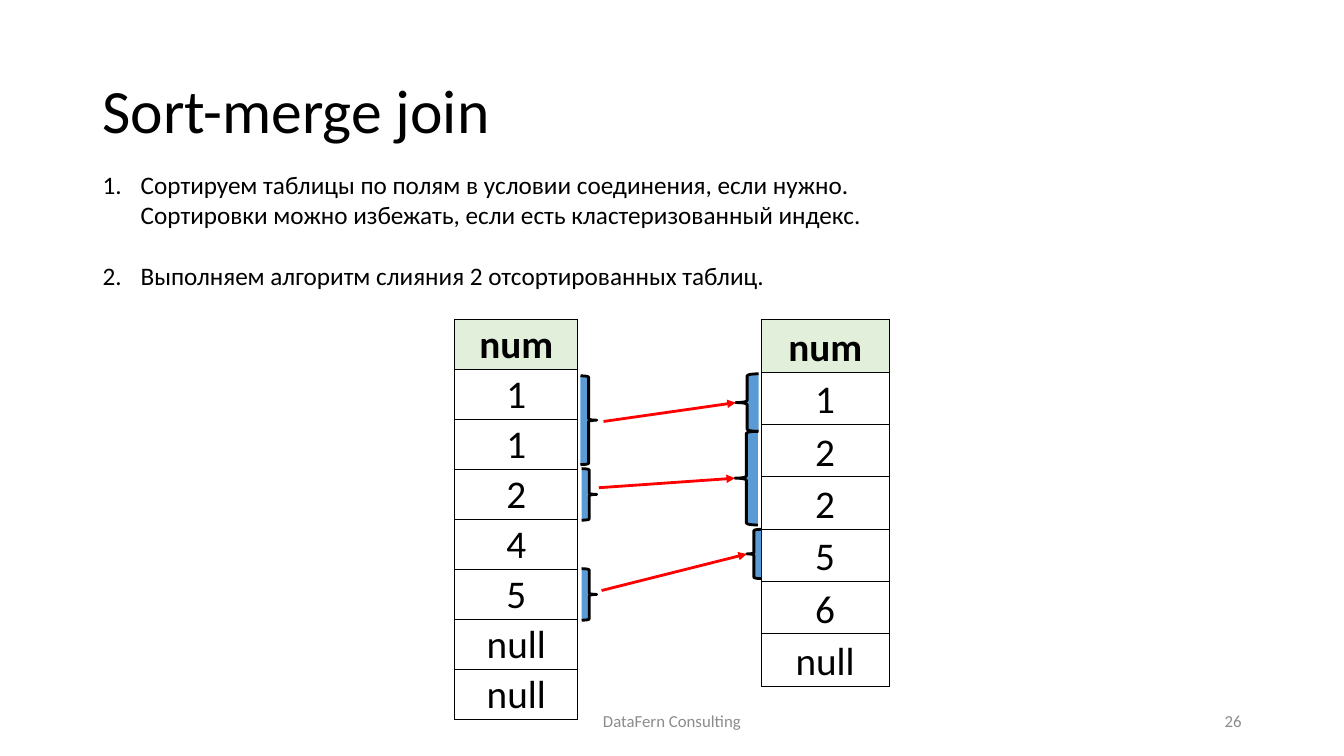
from dataclasses import dataclass

import lxml.etree
import pptx
import pptx.dml.color
import pptx.enum.shapes
import pptx.enum.text
import pptx.oxml.ns
import pptx.util
from pptx.util import Cm

SHAPE = pptx.enum.shapes.MSO_SHAPE
ALIGN = pptx.enum.text.PP_ALIGN
ANCHOR = pptx.enum.text.MSO_ANCHOR
qn = pptx.oxml.ns.qn


@dataclass(frozen=True)
class Theme:
    font: str = "Calibri"
    ink: str = "000000"
    muted: str = "8C8C8C"
    header_fill: str = "E2EFDA"
    brace_fill: str = "5B9BD5"
    arrow: str = "FF0000"
    title_size: int = 44
    table_size: int = 28
    body_size: int = 18
    footer_size: int = 12
    grid_width: float = 0.5
    line_width: int = 2


THEME = Theme()

LEFT_VALUES = ["num", "1", "1", "2", "4", "5", "null", "null"]
RIGHT_VALUES = ["num", "1", "2", "2", "5", "6", "null"]

# Left brace box, arrow start, right brace box: cm from the diagram's corner
MATCHES = [
    ((3.17, 1.42, 0.41, 2.24), (3.75, 2.57), (7.08, 1.37, 0.58, 1.45)),
    ((3.2, 3.76, 0.38, 1.3), (3.63, 4.24), (7.06, 2.82, 0.58, 2.36)),
    ((3.2, 6.28, 0.38, 1.3), (3.7, 6.83), (7.36, 5.29, 0.36, 1.24)),
]


def rgb(color):
    return pptx.dml.color.RGBColor.from_string(color)


def write(paragraph, text, size, color=THEME.ink, bold=False, align=ALIGN.LEFT,
          line_spacing=1.0, space_before=0):
    paragraph.text = text
    paragraph.alignment = align
    paragraph.line_spacing = line_spacing
    paragraph.space_before = pptx.util.Pt(space_before)
    for run in paragraph.runs:
        run.font.name = THEME.font
        run.font.size = pptx.util.Pt(size)
        run.font.bold = bold
        run.font.color.rgb = rgb(color)


def place(shape, left, top, width, height):
    shape.left, shape.top = Cm(left), Cm(top)
    shape.width, shape.height = Cm(width), Cm(height)


def number(paragraph, indent):
    """Give the paragraph an automatic number with a hanging indent."""
    properties = paragraph._p.get_or_add_pPr()
    properties.set("marL", str(Cm(indent)))
    properties.set("indent", str(-Cm(indent)))
    lxml.etree.SubElement(properties, qn("a:buFont"), typeface="+mj-lt")
    lxml.etree.SubElement(properties, qn("a:buAutoNum"), type="arabicPeriod")


def add_title(slide, text, box):
    title = slide.shapes.title
    place(title, *box)
    title.text_frame.vertical_anchor = ANCHOR.MIDDLE
    write(title.text_frame.paragraphs[0], text, THEME.title_size, line_spacing=0.9)


def add_steps(slide, steps, box):
    body = slide.placeholders[1]
    place(body, *box)
    frame = body.text_frame
    frame.auto_size = pptx.enum.text.MSO_AUTO_SIZE.NONE
    frame.vertical_anchor = ANCHOR.TOP
    for index, step in enumerate(steps):
        paragraph = frame.add_paragraph() if index else frame.paragraphs[0]
        write(paragraph, step, THEME.body_size, space_before=22 if index else 0)
        number(paragraph, 0.96)


def add_cell_borders(cell):
    properties = cell._tc.get_or_add_tcPr()
    for side in ("lnL", "lnR", "lnT", "lnB"):
        line = lxml.etree.SubElement(properties, qn(f"a:{side}"),
                                     w=str(pptx.util.Pt(THEME.grid_width)))
        fill = lxml.etree.SubElement(line, qn("a:solidFill"))
        lxml.etree.SubElement(fill, qn("a:srgbClr"), val=THEME.ink)


def add_column_table(slide, values, left, top, width, row_height):
    """Add a one-column table whose first value is the header."""
    table = slide.shapes.add_table(len(values), 1, Cm(left), Cm(top), Cm(width),
                                   Cm(row_height * len(values))).table
    table.first_row = table.horz_banding = False
    for index, value in enumerate(values):
        is_header = index == 0
        table.rows[index].height = Cm(row_height)
        cell = table.cell(index, 0)
        cell.margin_left = cell.margin_right = cell.margin_top = cell.margin_bottom = 0
        cell.vertical_anchor = ANCHOR.BOTTOM
        add_cell_borders(cell)
        if is_header:
            cell.fill.solid()
            cell.fill.fore_color.rgb = rgb(THEME.header_fill)
        else:
            cell.fill.background()
        write(cell.text_frame.paragraphs[0], value, THEME.table_size,
              bold=is_header, align=ALIGN.CENTER)


def add_brace(slide, kind, left, top, width, height):
    brace = slide.shapes.add_shape(kind, Cm(left), Cm(top), Cm(width), Cm(height))
    brace.shadow.inherit = False
    brace.fill.solid()
    brace.fill.fore_color.rgb = rgb(THEME.brace_fill)
    brace.line.color.rgb = rgb(THEME.ink)
    brace.line.width = pptx.util.Pt(THEME.line_width)
    return brace


def add_arrow(slide, left, top, target):
    """Draw an arrow from a point to the left tip of the target."""
    arrow = slide.shapes.add_connector(pptx.enum.shapes.MSO_CONNECTOR.STRAIGHT,
                                       Cm(left), Cm(top), target.left, target.top)
    arrow.end_connect(target, 1)
    arrow.line.color.rgb = rgb(THEME.arrow)
    arrow.line.width = pptx.util.Pt(THEME.line_width)
    lxml.etree.SubElement(arrow.line._get_or_add_ln(), qn("a:tailEnd"), type="triangle")
    lxml.etree.SubElement(arrow._element.spPr, qn("a:effectLst"))


def add_merge_diagram(slide, left, top):
    add_column_table(slide, LEFT_VALUES, left, top, 3.1, 1.26)
    add_column_table(slide, RIGHT_VALUES, left + 7.72, top, 3.23, 1.32)
    for (x1, y1, *size1), (start_x, start_y), (x2, y2, *size2) in MATCHES:
        add_brace(slide, SHAPE.RIGHT_BRACE, left + x1, top + y1, *size1)
        target = add_brace(slide, SHAPE.LEFT_BRACE, left + x2, top + y2, *size2)
        add_arrow(slide, left + start_x, top + start_y, target)


def add_footer(slide, text, align, box):
    footer = slide.shapes.add_textbox(*map(Cm, box))
    footer.text_frame.word_wrap = True
    footer.text_frame.vertical_anchor = ANCHOR.MIDDLE
    write(footer.text_frame.paragraphs[0], text, THEME.footer_size,
          color=THEME.muted, align=align)


def main():
    presentation = pptx.Presentation()
    presentation.slide_width, presentation.slide_height = Cm(33.87), Cm(19.05)
    slide = presentation.slides.add_slide(presentation.slide_layouts[1])
    add_title(slide, "Sort-merge join", (2.33, 1.01, 29.21, 3.68))
    add_steps(slide, [
        "Сортируем таблицы по полям в условии соединения, если нужно.\v"
        "Сортировки можно избежать, если есть кластеризованный индекс.",
        "Выполняем алгоритм слияния 2 отсортированных таблиц.",
    ], (2.33, 4.13, 22.66, 4.1))
    add_merge_diagram(slide, 11.46, 8.05)
    add_footer(slide, "DataFern Consulting", ALIGN.CENTER, (11.22, 17.66, 11.43, 1.01))
    add_footer(slide, "26", ALIGN.RIGHT, (23.92, 17.66, 7.62, 1.01))
    presentation.save("out.pptx")


if __name__ == "__main__":
    main()
